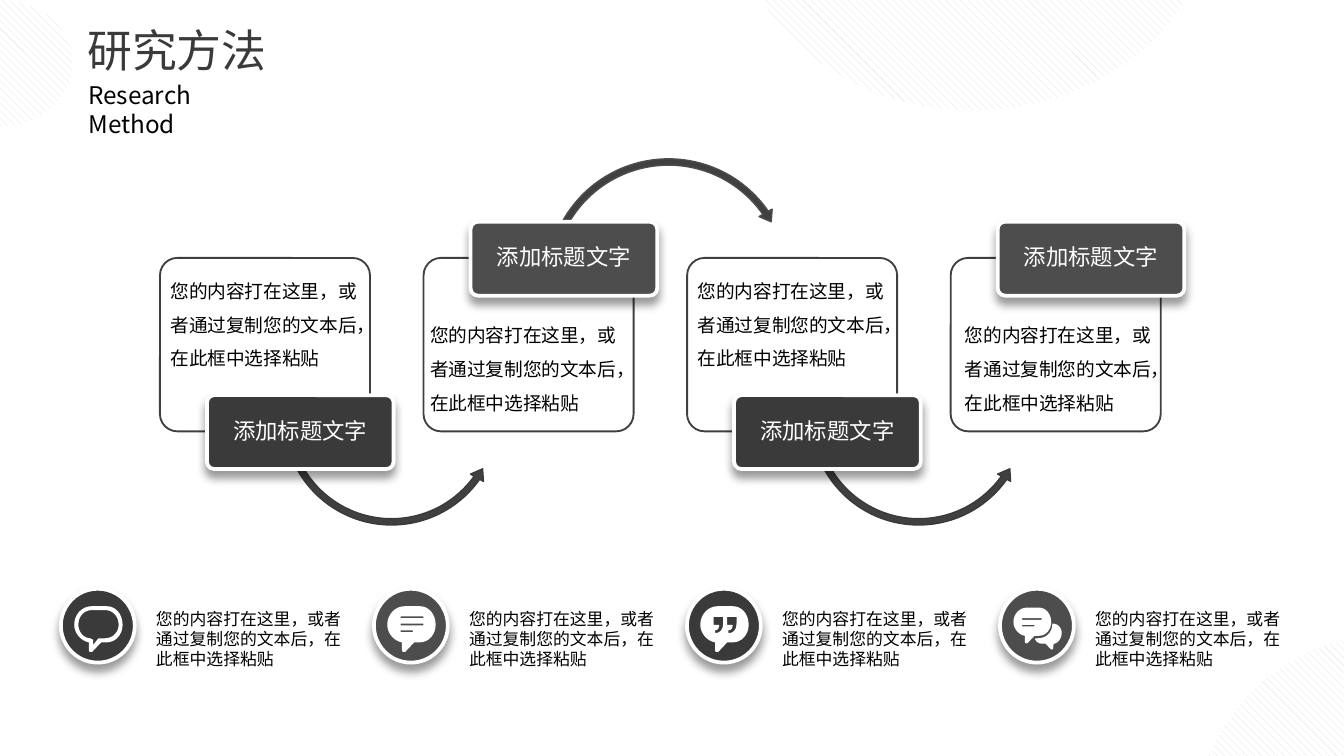
from lxml.etree import SubElement
from pptx import Presentation
from pptx.dml.color import RGBColor
from pptx.enum.dml import MSO_PATTERN
from pptx.enum.shapes import MSO_SHAPE
from pptx.enum.text import MSO_ANCHOR, PP_ALIGN
from pptx.oxml.ns import qn
from pptx.util import Pt

FONT = "Noto Sans CJK SC"
BLACK = RGBColor(0, 0, 0)
WHITE = RGBColor(0xFF, 0xFF, 0xFF)
DARK = RGBColor(0x3A, 0x3A, 0x3A)
OUTLINE = RGBColor(0x40, 0x40, 0x40)
GREY = RGBColor(0x4D, 0x4D, 0x4D)
HATCH = RGBColor(0xDD, 0xDD, 0xDD)

TITLE = "研究方法"
SUBTITLE = "Research Method"
LABEL = "添加标题文字"
BODY = "您的内容打在这里，或者通过复制您的文本后，在此框中选择粘贴"

# Upper cards: shift of the text from the card's left edge, and text width
CARDS = [
    {"upper": False, "arrow": True},
    {"upper": True, "arrow": True, "text": (-3.6, 117.4)},
    {"upper": False, "arrow": True},
    {"upper": True, "arrow": False, "text": (0.5, 121)},
]
CARD_LEFT, CARD_PITCH = 85.7, 141.2
LOWER_ARROW = (MSO_SHAPE.LEFT_CIRCULAR_ARROW, 163.4, 120.2,
               (0.028, 3.466, 21.221, 90.245, 0.033))
UPPER_ARROW = (MSO_SHAPE.CIRCULAR_ARROW, 82.8, 134.6,
               (0.025, 3.074, 195.171, 125.755, 0.03))
DECORATIONS = [  # left, top, width, height, rotation
    (-39.6, 0, 78.5, 67.7, 0),
    (619.9, 357.8, 257, 221.8, 75),
    (393.1, -162.7, 257, 221.8, 0),
]

# Icon contours, relative to the badge: pairs are corners, six numbers a curve
BUBBLE = [(24.5, 9.4), (16.6, 9.4), (11.5, 9.4, 7.2, 13.7, 7.2, 19.4),
          (7.2, 23.8, 10.8, 28.1, 15.1, 28.8), (15.1, 33.1),
          (15.1, 33.8, 16, 34.2, 16.9, 33.8), (21.6, 28.8), (24.5, 28.8),
          (29.5, 28.8, 33.1, 24.5, 33.1, 19.4),
          (33.1, 13.7, 29.5, 9.4, 24.5, 9.4)]
BUBBLE_HOLE = [(16.6, 11.5), (12.2, 11.5, 9.4, 15.1, 9.4, 19.4),
               (9.4, 23, 12.2, 26.6, 15.8, 26.6), (17.3, 27.4), (17.3, 30.2),
               (20.2, 26.6), (23.8, 26.6), (28.1, 26.6, 31, 23, 31, 19.4),
               (31, 15.1, 28.1, 11.5, 23.8, 11.5)]
QUOTE = [(19.4, 15.1), (19.4, 18.7), (19.4, 21.6, 18, 23.8, 15.1, 23.8),
         (15.1, 22.3), (16.6, 22.3, 17.3, 21.2, 17.3, 19.4),
         (14.4, 19.4), (14.4, 15.1)]
REPLY = [(28.1, 18.9), (28.1, 23.8, 24.5, 26.6, 20.2, 26.6), (18.7, 26.6),
         (19.4, 28.8, 20.9, 29.5, 23, 29.5), (24.5, 29.5), (27.4, 32.6),
         (28.4, 32.6), (28.8, 29.5), (31, 29.5, 33.1, 26.6, 33.1, 23.8),
         (33.1, 20.9, 31, 18.7, 28.1, 18.7)]


def transform(contour, scale=1, dx=0, dy=0):
    return [tuple(v * scale + (dy if i % 2 else dx) for i, v in enumerate(part))
            for part in contour]


def bar(left, right, middle):
    top, bottom = middle - 0.45, middle + 0.45
    return [(left, top), (right, top), (right, bottom), (left, bottom)]


ICONS = [  # each icon is a list of shapes, each shape a list of contours
    [[BUBBLE, BUBBLE_HOLE]],
    [[BUBBLE, bar(14.4, 26.6, 15.3), bar(14.4, 26.6, 19.2), bar(14.4, 20.9, 22.8)]],
    [[BUBBLE, QUOTE, transform(QUOTE, dx=7.2)]],
    [[REPLY], [transform(BUBBLE, 0.78, 1.6, 2.8),
               bar(11.9, 22.3, 16.2), bar(11.9, 18.4, 19.8)]],
]


def flatten(contour, steps=8):
    """Turn a contour's curves into short straight steps."""
    points = []
    for part in contour:
        if len(part) == 2:
            points.append(part)
            continue
        start, (c1, c2, end) = points[-1], zip(part[::2], part[1::2])
        for step in range(1, steps + 1):
            t = step / steps
            u = 1 - t
            points.append(tuple(
                u**3 * a + 3 * u * u * t * b + 3 * u * t * t * c + t**3 * d
                for a, b, c, d in zip(start, c1, c2, end)))
    return [(Pt(x), Pt(y)) for x, y in points]


def paint(shape, fill=None, line=None, weight=1):
    shape.shadow.inherit = False
    if fill is None:
        shape.fill.background()
    else:
        shape.fill.solid()
        shape.fill.fore_color.rgb = fill
    if line is None:
        shape.line.fill.background()
    else:
        shape.line.color.rgb = line
        shape.line.width = Pt(weight)


def add_shape(kind, left, top, width, height, **look):
    shape = slide.shapes.add_shape(kind, Pt(left), Pt(top), Pt(width), Pt(height))
    paint(shape, **look)
    return shape


def add_drop_shadow(shape):
    effects = shape._element.spPr.find(qn("a:effectLst"))
    shadow = SubElement(effects, qn("a:outerShdw"), blurRad=str(int(Pt(5))),
                        dist=str(int(Pt(4))), dir="5400000", algn="t",
                        rotWithShape="0")
    color = SubElement(shadow, qn("a:srgbClr"), val=str(BLACK))
    SubElement(color, qn("a:alpha"), val="40000")


def write(shape, text, size, color=BLACK, spacing=1, align=PP_ALIGN.LEFT,
          anchor=MSO_ANCHOR.TOP):
    frame = shape.text_frame
    frame.word_wrap = True
    frame.vertical_anchor = anchor
    frame.text = text
    paragraph = frame.paragraphs[0]
    paragraph.alignment = align
    paragraph.line_spacing = spacing
    run = paragraph.runs[0]
    run.font.size = Pt(size)
    run.font.color.rgb = color
    run.font.name = FONT
    SubElement(run._r.get_or_add_rPr(), qn("a:ea"), typeface=FONT)


def add_text(left, top, width, height, text, size, **style):
    box = slide.shapes.add_textbox(Pt(left), Pt(top), Pt(width), Pt(height))
    write(box, text, size, **style)


def add_card(left, upper, arrow, text=None):
    tone = GREY if upper else DARK
    if arrow:
        kind, top, size, adjustments = UPPER_ARROW if upper else LOWER_ARROW
        curve = add_shape(kind, left + 64, top, size, size,
                          fill=OUTLINE, line=tone, weight=0.75)
        for i, value in enumerate(adjustments):
            curve.adjustments[i] = value
    card = add_shape(MSO_SHAPE.ROUNDED_RECTANGLE, left, 138.2, 112.5, 92.9, line=OUTLINE)
    card.adjustments[0] = 0.1
    if upper:
        shift, width = text
        add_text(left + shift, 164.2, width, 61.9, BODY, 10, spacing=1.5)
    else:
        frame = card.text_frame
        frame.margin_left = frame.margin_right = frame.margin_top = Pt(3)
        write(card, BODY, 10, spacing=1.5)
    label = add_shape(MSO_SHAPE.ROUNDED_RECTANGLE, left + 25.2,
                      118.8 if upper else 211.7, 100, 39.6,
                      fill=tone, line=WHITE, weight=2)
    label.adjustments[0] = 0.1
    add_drop_shadow(label)
    write(label, LABEL, 12, color=WHITE, spacing=0.9,
          align=PP_ALIGN.CENTER, anchor=MSO_ANCHOR.MIDDLE)


def add_badge(left, top, icon, tone):
    badge = add_shape(MSO_SHAPE.OVAL, left, top, 39.6, 39.6,
                      fill=tone, line=WHITE, weight=2)
    add_drop_shadow(badge)
    for contours in icon:
        outline, *holes = map(flatten, contours)
        builder = slide.shapes.build_freeform(*outline[0])
        builder.add_line_segments(outline[1:])
        for hole in holes:
            builder.move_to(*hole[0])
            builder.add_line_segments(hole[1:])
        paint(builder.convert_to_shape(Pt(left), Pt(top)), fill=WHITE)
    add_text(left + 43.9, top + 7.2, 119.5, 40.3, BODY, 9)


deck = Presentation()
deck.slide_width, deck.slide_height = Pt(720), Pt(405)
slide = deck.slides.add_slide(deck.slide_layouts[5])

for *place, rotation in DECORATIONS:
    ellipse = add_shape(MSO_SHAPE.OVAL, *place)
    ellipse.rotation = rotation
    ellipse.fill.patterned()
    ellipse.fill.pattern = MSO_PATTERN.WIDE_DOWNWARD_DIAGONAL
    ellipse.fill.fore_color.rgb = HATCH
    ellipse.fill.back_color.rgb = WHITE

title = slide.shapes.title
title.left, title.top, title.width, title.height = Pt(39.6), Pt(8.6), Pt(167.8), Pt(36.7)
write(title, TITLE, 24, color=DARK)
add_text(40.3, 39.6, 109.4, 23, SUBTITLE, 13)

for i, card in enumerate(CARDS):
    add_card(CARD_LEFT + i * CARD_PITCH, **card)
for i, icon in enumerate(ICONS):
    add_badge(32.6 + i * 167.7, 315.4, icon, GREY if i % 2 else DARK)

deck.save("out.pptx")
